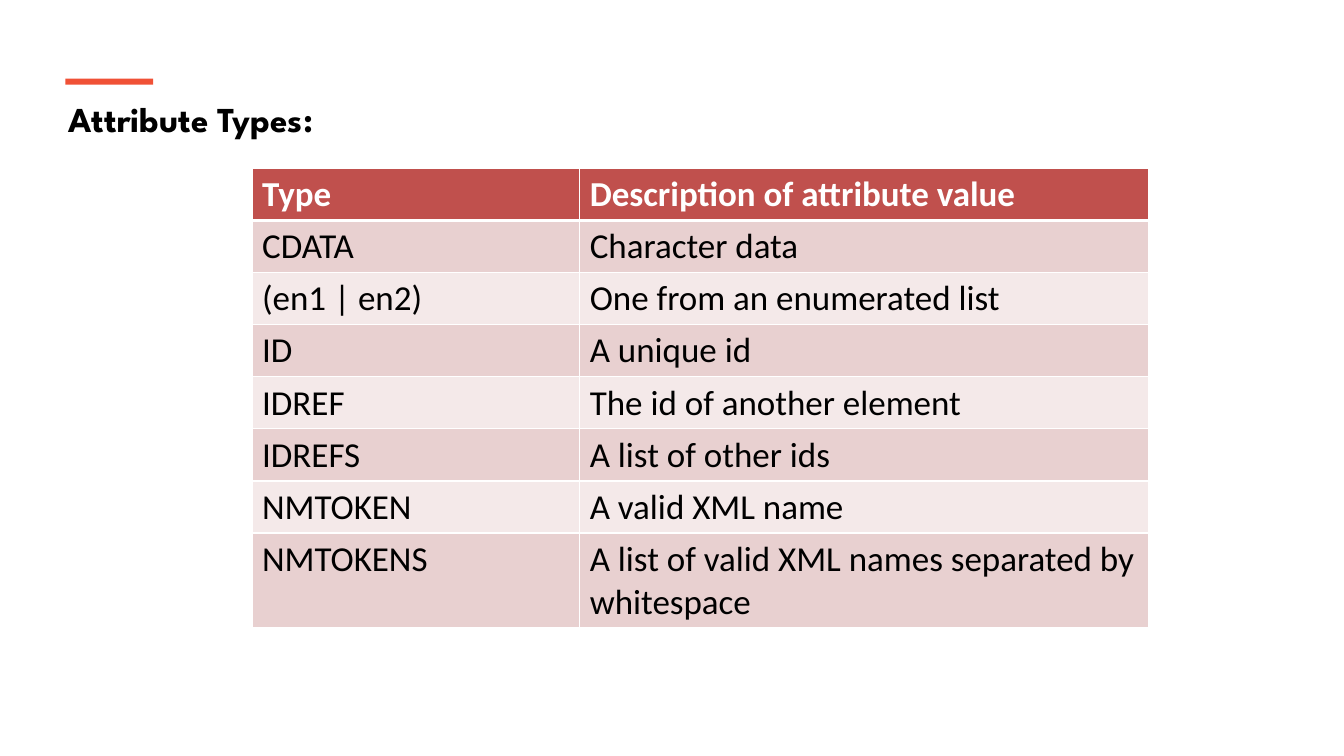
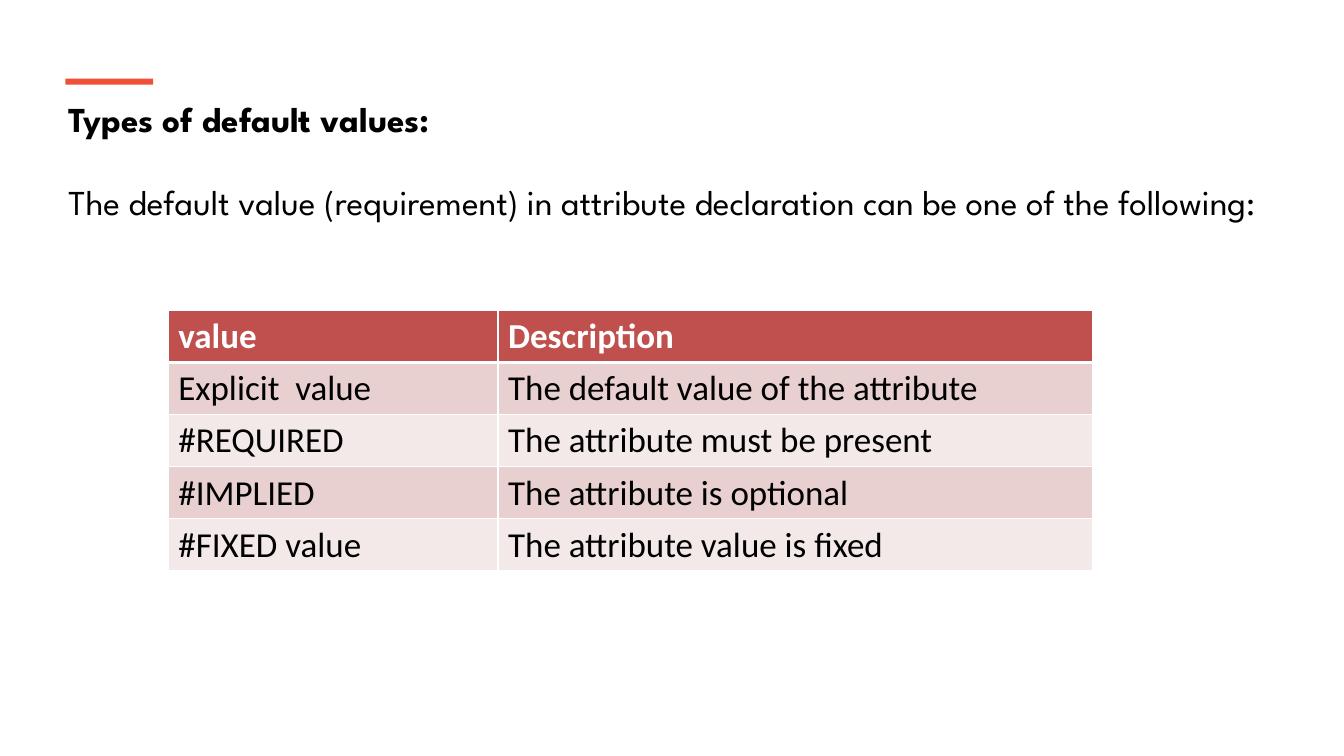
"""Build two slides on XML attribute types and default values."""
from lxml import etree
from pptx import Presentation
from pptx.dml.color import RGBColor
from pptx.enum.shapes import MSO_SHAPE as SHAPE
from pptx.oxml.ns import qn
from pptx.util import Emu, Pt

PX = 9144
WIDTH, HEIGHT = 1333, 750
ACCENT, HEADER, BLACK, WHITE = "F05136", "C0504D", "000000", "FFFFFF"
BANDS = ["E8D0D0", "F4E9E9"]
TITLE_FONT, TABLE_FONT = "League Spartan", "Calibri"
TEXT_SIZE, TITLE_LEADING, INTRO_GAP = 25, 30, 29
ROW_HEIGHT = 51

SLIDES = [
    {
        "title": "Attribute Types:",
        "title_height": 52,
        "table_at": (250, 167),
        "columns": (325, 564),
        "tall_rows": {7: 93},
        "rows": [
            ("Type", "Description of attribute value"),
            ("CDATA", "Character data"),
            ("(en1 | en2)", "One from an enumerated list"),
            ("ID", "A unique id"),
            ("IDREF", "The id of another element"),
            ("IDREFS", "A list of other ids"),
            ("NMTOKEN", "A valid XML name"),
            ("NMTOKENS", "A list of valid XML names separated by whitespace"),
        ],
    },
    {
        "title": "Types of default values:",
        "intro": "The default value (requirement) in attribute declaration "
                 "can be one of the following:",
        "title_height": 178,
        "table_at": (167, 308),
        "columns": (327, 590),
        "rows": [
            ("value", "Description"),
            ("Explicit  value", "The default value of the attribute"),
            ("#REQUIRED", "The attribute must be present"),
            ("#IMPLIED", "The attribute is optional"),
            ("#FIXED value", "The attribute value is fixed"),
        ],
    },
]


def px(*values):
    return [Emu(v * PX) for v in values]


def rgb(color):
    return RGBColor.from_string(color)


def add_run(p, text, font, color, bold):
    r = p.add_run()
    r.text = text
    r.font.name, r.font.size, r.font.bold = font, Pt(TEXT_SIZE), bold
    r.font.color.rgb = rgb(color)


def add_heading(s, title, intro, height):
    tf = s.shapes.add_textbox(*px(58, 92, 1209, height)).text_frame
    tf.word_wrap = True
    p = tf.paragraphs[0]
    p.line_spacing = Pt(TITLE_LEADING)
    add_run(p, title, TITLE_FONT, BLACK, True)
    if intro:
        p = tf.add_paragraph()
        p.line_spacing, p.space_before = Pt(TITLE_LEADING), Pt(INTRO_GAP)
        add_run(p, intro, TITLE_FONT, BLACK, False)


def add_accent(s):
    sp = s.shapes.add_shape(SHAPE.RECTANGLE, *px(65, 78, 87, 6))
    sp.shadow.inherit = False
    sp.fill.solid()
    sp.fill.fore_color.rgb = rgb(ACCENT)
    sp.line.fill.background()


def set_borders(cell, top, bottom):
    tc_pr = cell._tc.get_or_add_tcPr()
    widths = {"lnL": 1, "lnR": 1, "lnT": top, "lnB": bottom}
    for i, (side, width) in enumerate(widths.items()):
        ln = etree.Element(qn(f"a:{side}"), w=str(Pt(width)))
        fill = etree.SubElement(ln, qn("a:solidFill"))
        etree.SubElement(fill, qn("a:srgbClr"), val=WHITE)
        tc_pr.insert(i, ln)


def add_grid(s, at, columns, rows, tall_rows):
    heights = [tall_rows.get(i, ROW_HEIGHT) for i in range(len(rows))]
    frame = s.shapes.add_table(len(rows), len(columns),
                               *px(*at, sum(columns), sum(heights)))
    table = frame.table
    for column, width in zip(table.columns, px(*columns)):
        column.width = width
    for i, (row, height, texts) in enumerate(zip(table.rows, px(*heights), rows)):
        row.height = height
        header = i == 0
        for cell, text in zip(row.cells, texts):
            cell.fill.solid()
            cell.fill.fore_color.rgb = rgb(HEADER if header else BANDS[(i - 1) % 2])
            set_borders(cell, 3 if i == 1 else 1, 3 if header else 1)
            add_run(cell.text_frame.paragraphs[0], text, TABLE_FONT,
                    WHITE if header else BLACK, header)


def main():
    prs = Presentation()
    prs.slide_width, prs.slide_height = px(WIDTH, HEIGHT)
    for page in SLIDES:
        s = prs.slides.add_slide(prs.slide_layouts[6])
        add_heading(s, page["title"], page.get("intro"), page["title_height"])
        add_accent(s)
        add_grid(s, page["table_at"], page["columns"], page["rows"],
                 page.get("tall_rows", {}))
    prs.save("out.pptx")


if __name__ == "__main__":
    main()
